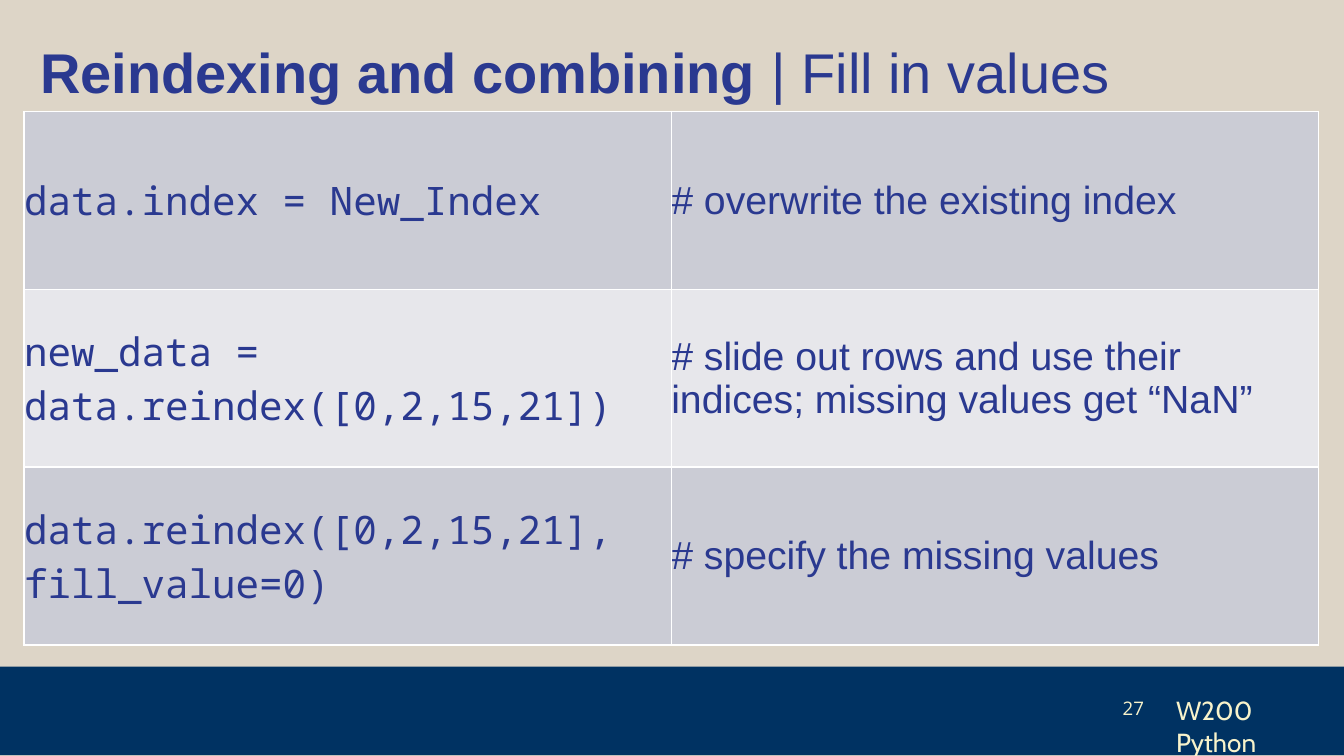
from lxml import etree
from pptx import Presentation
from pptx.dml.color import RGBColor
from pptx.enum import shapes, text
from pptx.oxml import ns
from pptx.util import Inches, Pt

SAND = RGBColor(0xDD, 0xD5, 0xC7)
NAVY = RGBColor(0x00, 0x32, 0x62)
CREAM = RGBColor(0xF8, 0xF3, 0xCB)
INDIGO = RGBColor(0x2A, 0x39, 0x90)
WHITE = RGBColor(0xFF, 0xFF, 0xFF)
BANDS = RGBColor(0xCB, 0xCC, 0xD5), RGBColor(0xE7, 0xE7, 0xEB)

CODE_NOTES = [
    ("data.index = New_Index", "# overwrite the existing index"),
    ("new_data = data.reindex([0,2,15,21])",
     "# slide out rows and use their indices; missing values get “NaN”"),
    ("data.reindex([0,2,15,21], fill_value=0)",
     "# specify the missing values"),
]


def set_margins(tf, size):
    tf.margin_left = tf.margin_right = Inches(size)
    tf.margin_top = tf.margin_bottom = Inches(size)


def set_font(font, name, size, color):
    font.name, font.size = name, Pt(size)
    font.color.rgb = color


def set_borders(cell, color, width):
    tcPr = cell._tc.get_or_add_tcPr()
    for side in ("lnL", "lnR", "lnT", "lnB"):
        ln = etree.SubElement(tcPr, ns.qn(f"a:{side}"), w=str(Pt(width)))
        fill = etree.SubElement(ln, ns.qn("a:solidFill"))
        etree.SubElement(fill, ns.qn("a:srgbClr"), val=str(color))


class Deck:
    """Holds the presentation, its style and the current slide."""

    def __init__(self, width):
        """Start a 16:9 presentation."""
        self.prs = Presentation()
        self.prs.slide_width = Inches(width)
        self.prs.slide_height = Inches(width * 9 / 16)

    def add_slide(self):
        self.s = self.prs.slides.add_slide(self.prs.slide_layouts[5])
        fill = self.s.background.fill
        fill.solid()
        fill.fore_color.rgb = SAND

    def title(self, box, topic, subtopic):
        sp = self.s.shapes.title
        sp.left, sp.top, sp.width, sp.height = map(Inches, box)
        tf = sp.text_frame
        set_margins(tf, 0.1)
        tf.auto_size = text.MSO_AUTO_SIZE.NONE
        tf.vertical_anchor = text.MSO_ANCHOR.TOP
        p = tf.paragraphs[0]
        p.alignment = text.PP_ALIGN.LEFT
        set_font(p.font, "Arial", 30, INDIGO)
        for words, bold in ((topic, True), (subtopic, False)):
            r = p.add_run()
            r.text = words
            r.font.bold = bold

    def band(self, box, color):
        sp = self.s.shapes.add_shape(shapes.MSO_SHAPE.RECTANGLE,
                                     *map(Inches, box))
        sp.shadow.inherit = False
        sp.fill.solid()
        sp.fill.fore_color.rgb = color
        sp.line.fill.background()

    def label(self, box, words, font, size, margin=0, wrap=True,
              align=text.PP_ALIGN.LEFT, anchor=text.MSO_ANCHOR.TOP):
        tf = self.s.shapes.add_textbox(*map(Inches, box)).text_frame
        set_margins(tf, margin)
        tf.word_wrap = wrap
        tf.vertical_anchor = anchor
        p = tf.paragraphs[0]
        p.text, p.alignment = words, align
        set_font(p.font, font, size, CREAM)

    def table(self, box, rows, fonts):
        """Add a banded table with one font for each column."""
        table = self.s.shapes.add_table(len(rows), len(fonts),
                                        *map(Inches, box)).table
        for i, row in enumerate(rows):
            for j, (words, font) in enumerate(zip(row, fonts)):
                cell = table.cell(i, j)
                set_margins(cell, 0)
                cell.vertical_anchor = text.MSO_ANCHOR.MIDDLE
                set_borders(cell, WHITE, 1)
                cell.fill.solid()
                cell.fill.fore_color.rgb = BANDS[i % 2]
                p = cell.text_frame.paragraphs[0]
                p.text = words
                set_font(p.font, font, 21, INDIGO)


def main():
    deck = Deck(10)
    deck.add_slide()
    deck.band((0, 4.96, 10, 0.66), NAVY)
    deck.label((8.75, 5.17, 1.09, 0.19), "W200 Python", "Cabin", 14)
    deck.title((0.2, 0.18, 9.32, 0.66),
               "Reindexing and combining ", "| Fill in values")
    deck.label((8.24, 5.07, 0.37, 0.39), "27", "Open Sans", 10, margin=0.1,
               wrap=False, align=text.PP_ALIGN.RIGHT,
               anchor=text.MSO_ANCHOR.MIDDLE)
    deck.table((0.18, 0.83, 9.63, 3.97), CODE_NOTES,
               ("Noto Sans Mono", "Arial"))
    deck.prs.save("out.pptx")


if __name__ == "__main__":
    main()
